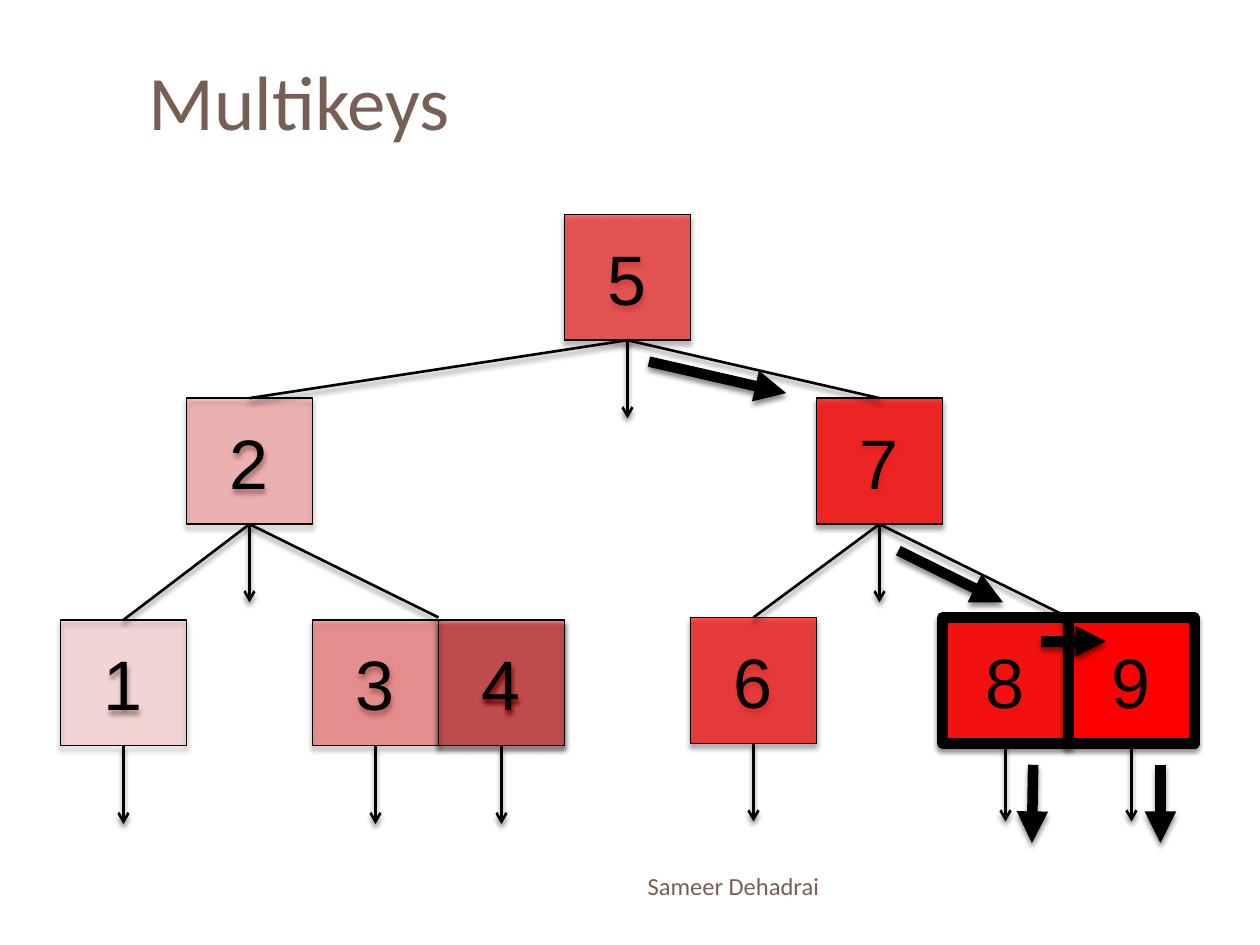
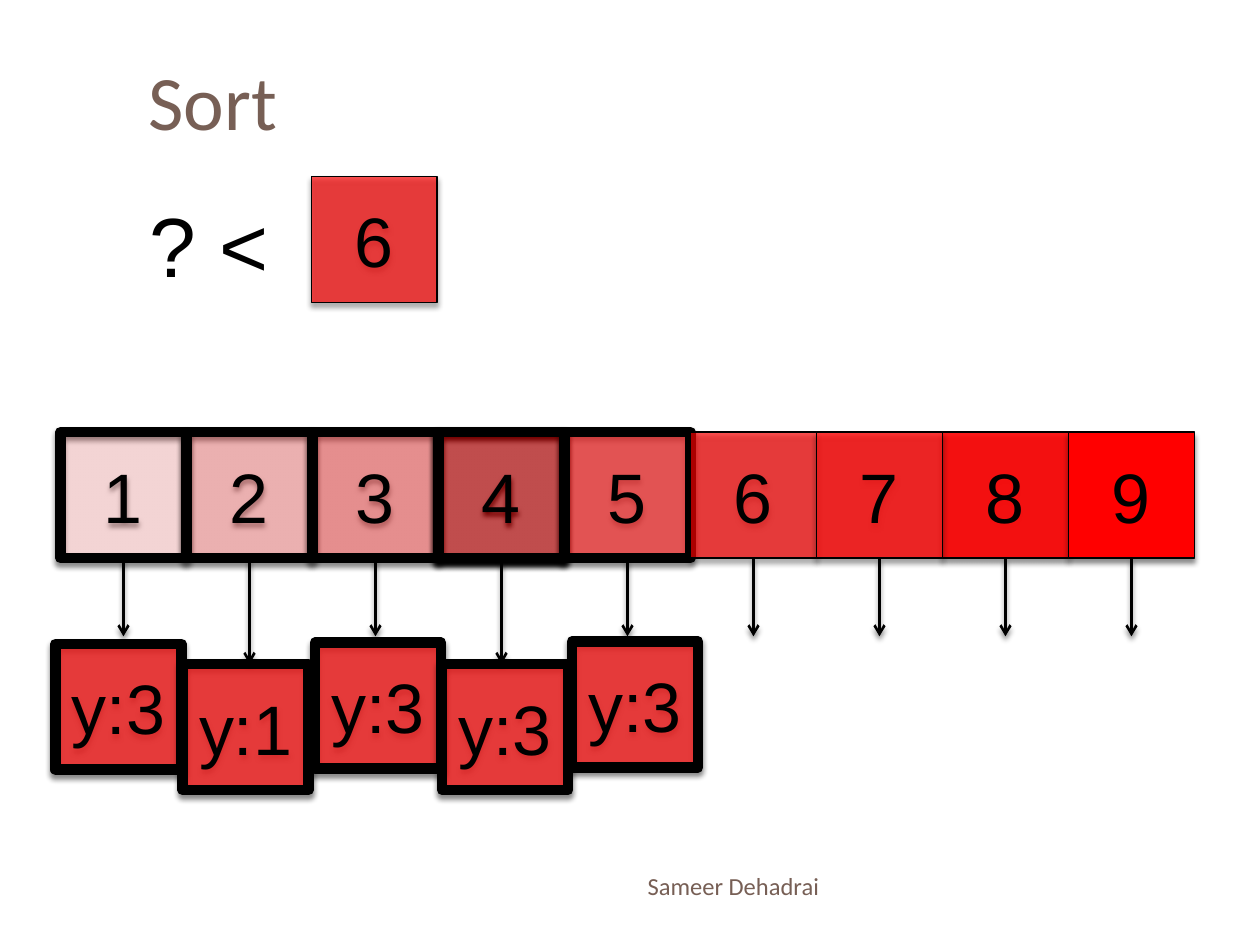
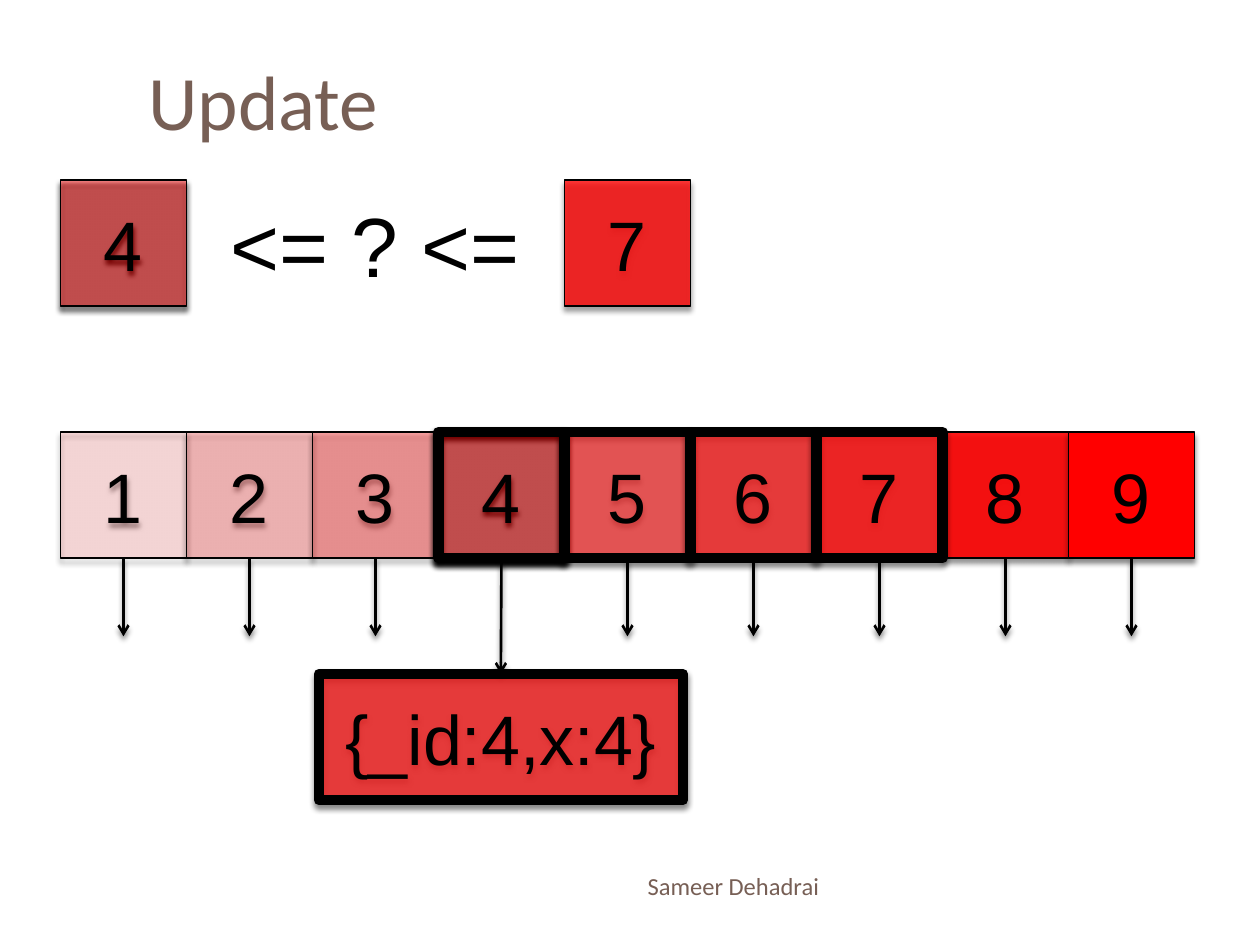
from pptx import Presentation
from pptx.dml.color import RGBColor
from pptx.enum.shapes import MSO_CONNECTOR as Conn, MSO_SHAPE as Shape
from pptx.enum.text import MSO_ANCHOR as Anchor, PP_ALIGN as Align
from pptx.oxml import parse_xml
from pptx.oxml.ns import nsdecls
from pptx.util import Inches, Pt

BLACK, RED, BROWN = "000000", "FF0000", "775F55"
THIN, BOLD = 0.75, 6
LEFT, ROW, DROP = 0.48, 3.43, 0.62
TOP, BOTTOM = 0, 2


def rgb(code):
    """Turn a hex string into a colour."""
    return RGBColor.from_string(code)


def shade(item):
    """Give a shape or line the soft shadow below it."""
    item._element.spPr.append(parse_xml(
        f'<a:effectLst {nsdecls("a")}><a:outerShdw blurRad="38100" dist="30480" '
        'dir="5400000" rotWithShape="0"><a:srgbClr val="000000">'
        '<a:alpha val="45000"/></a:srgbClr></a:outerShdw></a:effectLst>'))


def write(frame, text, size, font, color, align):
    """Write one formatted paragraph."""
    para = frame.paragraphs[0]
    para.text = text
    para.alignment = align
    face = para.runs[0].font
    face.size, face.name, face.color.rgb = Pt(size), font, rgb(color)


def label(slide, text, box, size, font="Calibri", color=BROWN,
          align=Align.LEFT, anchor=Anchor.MIDDLE, wrap=True):
    """Add a text box."""
    frame = slide.shapes.add_textbox(*map(Inches, box)).text_frame
    frame.word_wrap = wrap
    frame.vertical_anchor = anchor
    write(frame, text, size, font, color, align)


def block(slide, text, x, y, alpha, edge=THIN, width=1):
    """Add a red box with a black edge."""
    box = slide.shapes.add_shape(
        Shape.RECTANGLE, Inches(x), Inches(y), Inches(width), Inches(1))
    box.fill.solid()
    box.fill.fore_color.rgb = rgb(RED)
    if alpha < 100:
        tint = box._element.spPr.find(".//{*}solidFill/{*}srgbClr")
        tint.append(parse_xml(f'<a:alpha {nsdecls("a")} val="{alpha * 1000}"/>'))
    box.line.color.rgb = rgb(BLACK)
    box.line.width = Pt(edge)
    shade(box)
    box.text_frame.vertical_anchor = Anchor.MIDDLE
    write(box.text_frame, text, 40, "Arial", BLACK, Align.CENTER)
    return box


def key(slide, num, x, y, edge=THIN):
    """Add a key whose red deepens with its number."""
    return block(slide, str(num), x, y, 100 - 11 * (9 - num), edge)


def link(slide, start, end, width=1.5, head=None):
    """Draw a line, with an arrowhead if one is named."""
    line = slide.shapes.add_connector(Conn.STRAIGHT, *map(Inches, start + end))
    line.line.color.rgb = rgb(BLACK)
    line.line.width = Pt(width)
    if head:
        line.line._get_or_add_ln().append(
            parse_xml(f'<a:tailEnd {nsdecls("a")} type="{head}"/>'))
    shade(line)
    return line


def drop(slide, cell, length=DROP):
    """Hang an arrow from the bottom of a key."""
    x = (cell.left + cell.width / 2) / Inches(1)
    y = (cell.top + cell.height) / Inches(1)
    line = link(slide, (x, y), (x, y + length), head="arrow")
    line.begin_connect(cell, BOTTOM)
    return line


def page(deck, title):
    """Add a slide with its title and footer."""
    slide = deck.slides.add_slide(deck.slide_layouts[6])
    label(slide, title, (1.08, 0.25, 8.92, 1.08), 44)
    label(slide, "Sameer Dehadrai", (0.67, 6.83, 5.93, 0.4), 14, align=Align.RIGHT)
    return slide


def test(slide, text, x, width):
    """Add the large comparison text."""
    label(slide, text, (x, 1.49, width, 0.91), 48, "Arial", BLACK,
          anchor=Anchor.TOP, wrap=False)


def row(slide, bold, deep):
    """Add the row of nine keys and their arrows, some of them longer."""
    cells = {n: key(slide, n, LEFT + n - 1, ROW, BOLD if n in bold else THIN)
             for n in (8, 1, 2, 3, 4, 5, 6, 7, 9)}
    return {n: drop(slide, cell, deep.get(n, DROP)) for n, cell in cells.items()}


def tree(deck):
    """Build the tree of keys."""
    slide = page(deck, "Multikeys")
    tops = (4.92, 3.16, 4.92, 4.92, 1.7, 4.9, 3.16, 4.9, 4.9)
    cells = {n: key(slide, n, LEFT + n - 1, y, BOLD if n > 7 else THIN)
             for n, y in enumerate(tops, 1)}
    for top, low in ((2, 1), (5, 2), (5, 7), (7, 6)):
        line = link(slide, (0, 0), (1, 1))
        line.begin_connect(cells[top], BOTTOM)
        line.end_connect(cells[low], TOP)
    for top, x in ((2, 3.48), (7, 8.48)):
        line = link(slide, (LEFT + top - 0.5, 4.16), (x, 4.9))
        line.begin_connect(cells[top], BOTTOM)
    for cell in cells.values():
        drop(slide, cell)
    for start, end in (((5.15, 2.87), (6.24, 3.12)), ((8.2, 6.07), (8.19, 6.69)),
                       ((9.21, 6.07), (9.21, 6.69)), ((7.13, 4.37), (7.96, 4.78)),
                       ((8.26, 5.09), (8.78, 5.09))):
        link(slide, start, end, BOLD, "triangle")


def sort(deck):
    """Build the sort slide."""
    slide = page(deck, "Sort")
    key(slide, 6, 2.47, 1.4)
    test(slide, "? <", 1.09, 1.16)
    row(slide, range(1, 6), {2: 0.84, 4: 0.84})
    for text, x, y in (("y:3", 0.44, 5.11), ("y:1", 1.45, 5.27), ("y:3", 2.5, 5.1),
                       ("y:3", 3.51, 5.27), ("y:3", 4.54, 5.09)):
        block(slide, text, x, y, 67, BOLD)


def update(deck):
    """Build the update slide."""
    slide = page(deck, "Update")
    key(slide, 4, LEFT, 1.43)
    test(slide, "<= ? <=", 1.73, 2.52)
    key(slide, 7, LEFT + 4, 1.43)
    lines = row(slide, range(4, 8), {4: 0.92})
    doc = block(slide, "{_id:4,x:4}", 2.53, 5.35, 67, BOLD, 2.89)
    lines[4].end_connect(doc, TOP)


def main():
    """Build and save the deck."""
    deck = Presentation()
    deck.slide_width, deck.slide_height = Inches(10), Inches(7.5)
    tree(deck)
    sort(deck)
    update(deck)
    deck.save("out.pptx")


if __name__ == "__main__":
    main()
